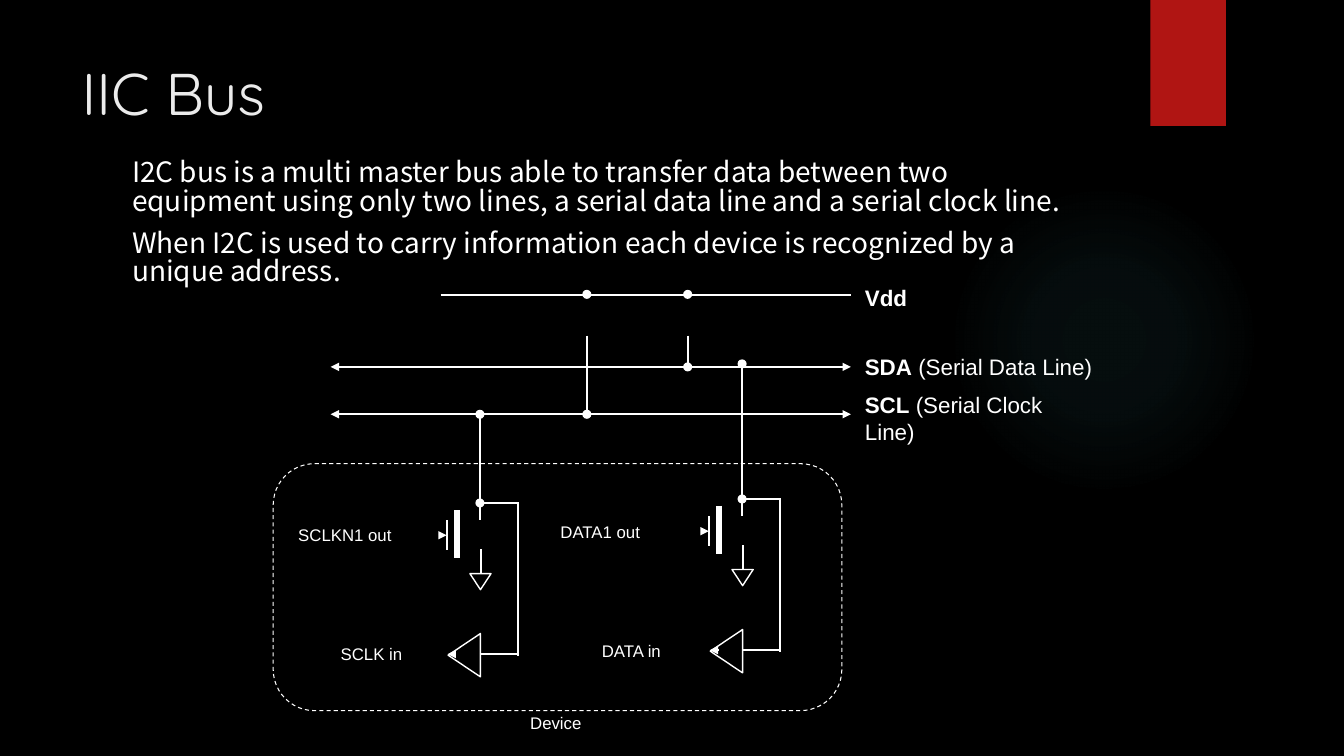
from lxml.etree import SubElement
from pptx import Presentation
from pptx.dml.color import RGBColor
from pptx.enum.dml import MSO_LINE
from pptx.enum.shapes import MSO_CONNECTOR, MSO_SHAPE as SHAPE
from pptx.enum.text import MSO_ANCHOR as ANCHOR, MSO_AUTO_SIZE as AUTO_SIZE, PP_ALIGN as ALIGN
from pptx.oxml import parse_xml
from pptx.oxml.ns import nsdecls, qn
from pptx.util import Inches, Pt

CELL = Inches(0.1)
COLORS = {"background": "000000", "ink": "FFFFFF", "title": "EBEBEB", "ribbon": "B01513", "glow": "50B9C1"}
RGB = {name: RGBColor.from_string(value) for name, value in COLORS.items()}
DOT = 0.9

presentation = Presentation()
presentation.slide_width, presentation.slide_height = int(133.3 * CELL), 75 * CELL
slide = presentation.slides.add_slide(presentation.slide_layouts[1])
shapes = slide.shapes
slide.background.fill.solid()
slide.background.fill.fore_color.rgb = RGB["background"]


def add_figure(kind, column, row, columns, rows, fill=None, weight=None):
    shape = shapes.add_shape(kind, *(int(n * CELL) for n in (column, row, columns, rows)))
    shape.shadow.inherit = False
    if fill:
        shape.fill.solid()
        shape.fill.fore_color.rgb = RGB[fill]
    else:
        shape.fill.background()
    if weight:
        shape.line.color.rgb = RGB["ink"]
        shape.line.width = Pt(weight)
    else:
        shape.line.fill.background()
    return shape


def add_wire(column, row, end_column, end_row, weight=1.5, arrows=()):
    wire = shapes.add_connector(
        MSO_CONNECTOR.STRAIGHT, *(int(n * CELL) for n in (column, row, end_column, end_row)))
    wire.line.color.rgb = RGB["ink"]
    wire.line.width = Pt(weight)
    line = wire.line._get_or_add_ln()
    for end in arrows:
        SubElement(line, qn(f"a:{end}"), type="triangle")
    SubElement(wire._element.spPr, qn("a:effectLst"))


glow = add_figure(SHAPE.OVAL, 94.1, 18.3, 30.8, 30.8, "glow")
stops = "".join(
    f'<a:gs pos="{position}000"><a:srgbClr val="{COLORS["glow"]}"><a:alpha val="{alpha}000"/></a:srgbClr></a:gs>'
    for position, alpha in ((0, 7), (36, 6), (69, 0), (100, 0)))
gradient = parse_xml(
    f'<a:gradFill {nsdecls("a")}><a:gsLst>{stops}</a:gsLst><a:path path="circle">'
    '<a:fillToRect l="50000" t="50000" r="50000" b="50000"/></a:path></a:gradFill>')
properties = glow._element.spPr
properties.replace(properties.find(qn("a:solidFill")), gradient)
ribbon = add_figure(SHAPE.RECTANGLE, 114.1, 0, 7.5, 12.5, "ribbon")
for index, decoration in enumerate((glow, ribbon), start=2):
    shapes._spTree.insert(index, decoration._element)

title, body = shapes.title, slide.placeholders[1]
title.text_frame.text = "IIC Bus"
body.text_frame.text = (
    "I2C bus is a multi master bus able to transfer data between two equipment "
    "using only two lines, a serial data line and a serial clock line.\n"
    "When I2C is used to carry information each device is recognized by a unique address.")
for placeholder, box, anchor, font_name, size, color in (
    (title, (7.1, 5, 102.9, 8.2), ANCHOR.MIDDLE, "Quicksand", 42, "title"),
    (body, (12.1, 15.4, 97.8, 55.2), ANCHOR.TOP, "Noto Sans CJK SC", 20, "ink"),
):
    placeholder.left, placeholder.top, placeholder.width, placeholder.height = (int(n * CELL) for n in box)
    frame = placeholder.text_frame
    frame.auto_size = AUTO_SIZE.NONE
    frame.vertical_anchor = anchor
    for paragraph in frame.paragraphs:
        paragraph.alignment = ALIGN.LEFT
        font = paragraph.runs[0].font
        font.name, font.size, font.color.rgb = font_name, Pt(size), RGB[color]
body.text_frame.margin_right = 2 * CELL
for paragraph in body.text_frame.paragraphs:
    paragraph.space_before = Pt(10)
    paragraph.line_spacing = 0.84
    paragraph_properties = paragraph._p.get_or_add_pPr()
    paragraph_properties.set("marL", "0")
    paragraph_properties.set("indent", "0")
    SubElement(paragraph_properties, qn("a:buNone"))

add_wire(43.7, 29.3, 84.4, 29.3)
for bus_row in (36.4, 41.1):
    add_wire(32.8, bus_row, 84.4, bus_row, arrows=("headEnd", "tailEnd"))
for pull_up_column, bus_row in ((58.2, 41.1), (68.2, 36.4)):
    add_wire(pull_up_column, 33.3, pull_up_column, bus_row)
    for dot_row in (29.2, bus_row):
        add_figure(SHAPE.OVAL, pull_up_column - DOT / 2, dot_row - DOT / 2, DOT, DOT, "ink")

for column, row, bus_row, dot_row in ((47.6, 49.9, 41.1, 41.1), (73.6, 49.5, 36.4, 36.1)):
    add_wire(column - 2.3, row + 0.7, column - 2.3, row + 5.5, weight=4.5)
    add_wire(column - 3.3, row + 1.7, column - 3.3, row + 4.7)
    add_wire(column - 4.1, row + 3.2, column - 3.3, row + 3.2, arrows=("tailEnd",))
    add_wire(column, bus_row, column, row + 1.7)
    add_wire(column + 0.1, row + 4.6, column + 0.1, row + 7)
    ground = add_figure(SHAPE.ISOSCELES_TRIANGLE, column - 1, row + 7, 2.1, 1.6, weight=1)
    ground.rotation = 180
    buffer = add_figure(SHAPE.ISOSCELES_TRIANGLE, column - 3.7, row + 13.5, 4.3, 3.2, weight=1)
    buffer.rotation = 270
    add_wire(column - 2.4, row + 15, column - 3.2, row + 15, arrows=("tailEnd",))
    add_wire(column + 3.8, row, column + 3.8, row + 15.2)
    add_wire(column + 0.1, row, column + 3.9, row)
    add_wire(column, row + 15, column + 3.8, row + 15)
    for junction_row in (dot_row, row):
        add_figure(SHAPE.OVAL, column - DOT / 2, junction_row - DOT / 2, DOT, DOT, "ink")

device = add_figure(SHAPE.ROUNDED_RECTANGLE, 27.1, 46, 56.4, 24.5, weight=0.75)
device.adjustments[0] = 0.167
device.line.dash_style = MSO_LINE.DASH

for bold_text, plain_text, size, column, row, columns in (
    ("Vdd", "", 16, 84.8, 27.7, 6.2),
    ("SDA", " (Serial Data Line)", 16, 84.8, 34.5, 24.7),
    ("SCL", " (Serial Clock Line)", 16, 84.8, 38.3, 24),
    ("", "SCLKN1 out", 12, 28.6, 51.6, 11.3),
    ("", "SCLK in", 12, 32.8, 63.4, 8.1),
    ("", "DATA1 out", 12, 54.6, 51.3, 9.9),
    ("", "DATA in", 12, 58.7, 63.1, 7.9),
    ("", "Device", 12, 51.6, 70.2, 7.1),
):
    label = shapes.add_textbox(*(int(n * CELL) for n in (column, row, columns, size * 0.24)))
    label.text_frame.word_wrap = True
    for text, bold in ((bold_text, True), (plain_text, False)):
        if text:
            run = label.text_frame.paragraphs[0].add_run()
            run.text = text
            run.font.name, run.font.size, run.font.bold = "Arial", Pt(size), bold
            run.font.color.rgb = RGB["ink"]

presentation.save("out.pptx")
